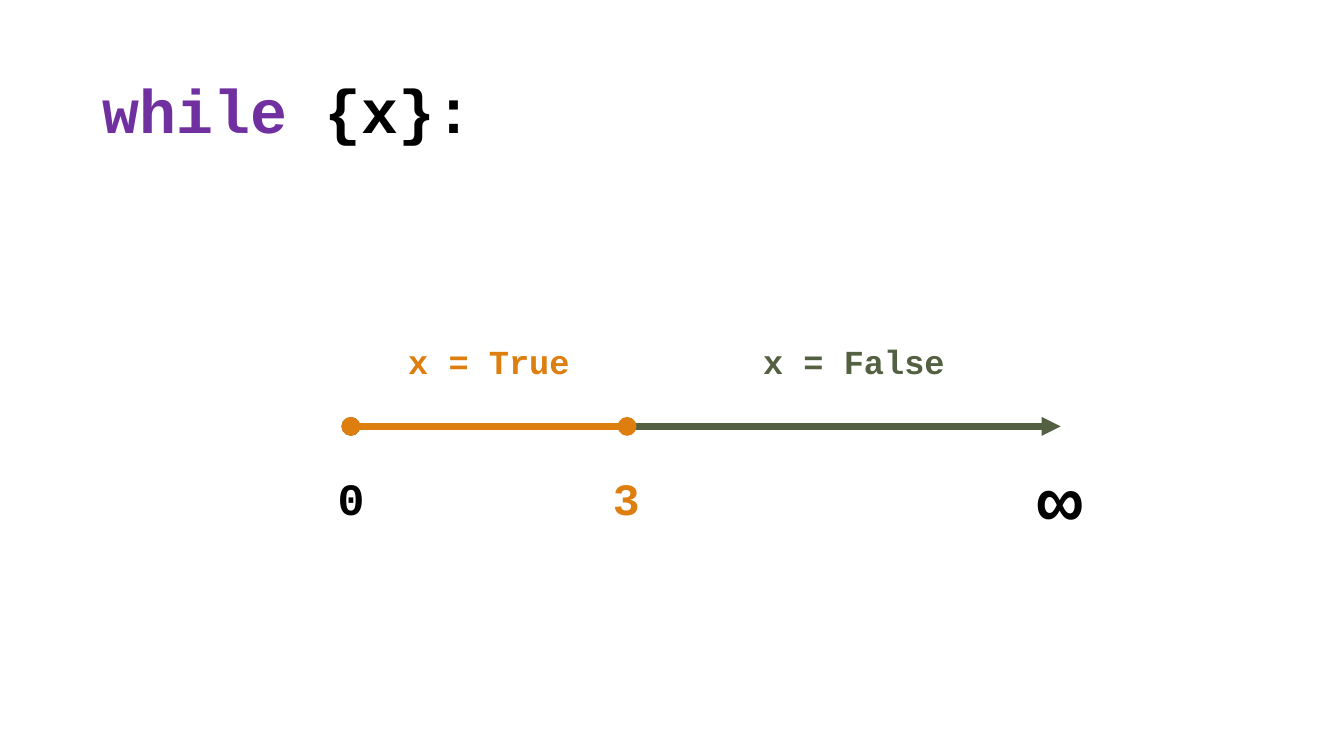
from lxml import etree
from pptx import Presentation
from pptx import util as u
from pptx.dml.color import RGBColor
from pptx.enum import shapes, text
from pptx.oxml.ns import qn

PX = 9144
BLACK, PURPLE, ORANGE, GREEN = "000000", "7030A0", "DD7E0E", "536142"


def px(*lengths):
    return [u.Emu(length * PX) for length in lengths]


def style_font(font, size, color):
    font.name = "Courier New"
    font.size = u.Pt(size)
    font.bold = True
    font.color.rgb = RGBColor.from_string(color)


presentation = Presentation()
presentation.slide_width, presentation.slide_height = px(1333, 750)
slide = presentation.slides.add_slide(presentation.slide_layouts[5])

title = slide.shapes.title
title.left, title.top, title.width, title.height = px(92, 40, 1150, 145)
title.text_frame.vertical_anchor = text.MSO_ANCHOR.MIDDLE
paragraph = title.text_frame.paragraphs[0]
paragraph.alignment = text.PP_ALIGN.LEFT
paragraph.line_spacing = 0.9
for words, color in [("while", PURPLE), (" {x}:", BLACK)]:
    run = paragraph.add_run()
    run.text = words
    style_font(run.font, 44, color)

axis_start, axis_y = 348, 423
for axis_end, color, tail in [(1052, GREEN, "triangle"), (622, ORANGE, "oval")]:
    connector = slide.shapes.add_connector(
        shapes.MSO_CONNECTOR.STRAIGHT, *px(axis_start, axis_y, axis_end, axis_y)
    )
    connector.line.width = u.Pt(4.5)
    connector.line.color.rgb = RGBColor.from_string(color)
    line = connector.line._get_or_add_ln()
    etree.SubElement(line, qn("a:headEnd"), type="oval")
    etree.SubElement(line, qn("a:tailEnd"), type=tail)
    etree.SubElement(connector._element.spPr, qn("a:effectLst"))

labels = [
    ("0", 325, 462, 47, 64, 32, BLACK),
    ("3", 598, 462, 47, 64, 32, ORANGE),
    ("∞", 1019, 443, 66, 101, 54, BLACK),
    ("x = True", 395, 333, 181, 50, 24, ORANGE),
    ("x = False", 747, 333, 202, 50, 24, GREEN),
]
for words, left, top, width, height, size, color in labels:
    label = slide.shapes.add_textbox(*px(left, top, width, height))
    frame = label.text_frame
    frame.word_wrap = False
    frame.auto_size = text.MSO_AUTO_SIZE.SHAPE_TO_FIT_TEXT
    paragraph = frame.paragraphs[0]
    paragraph.text = words
    style_font(paragraph.font, size, color)

presentation.save("out.pptx")
